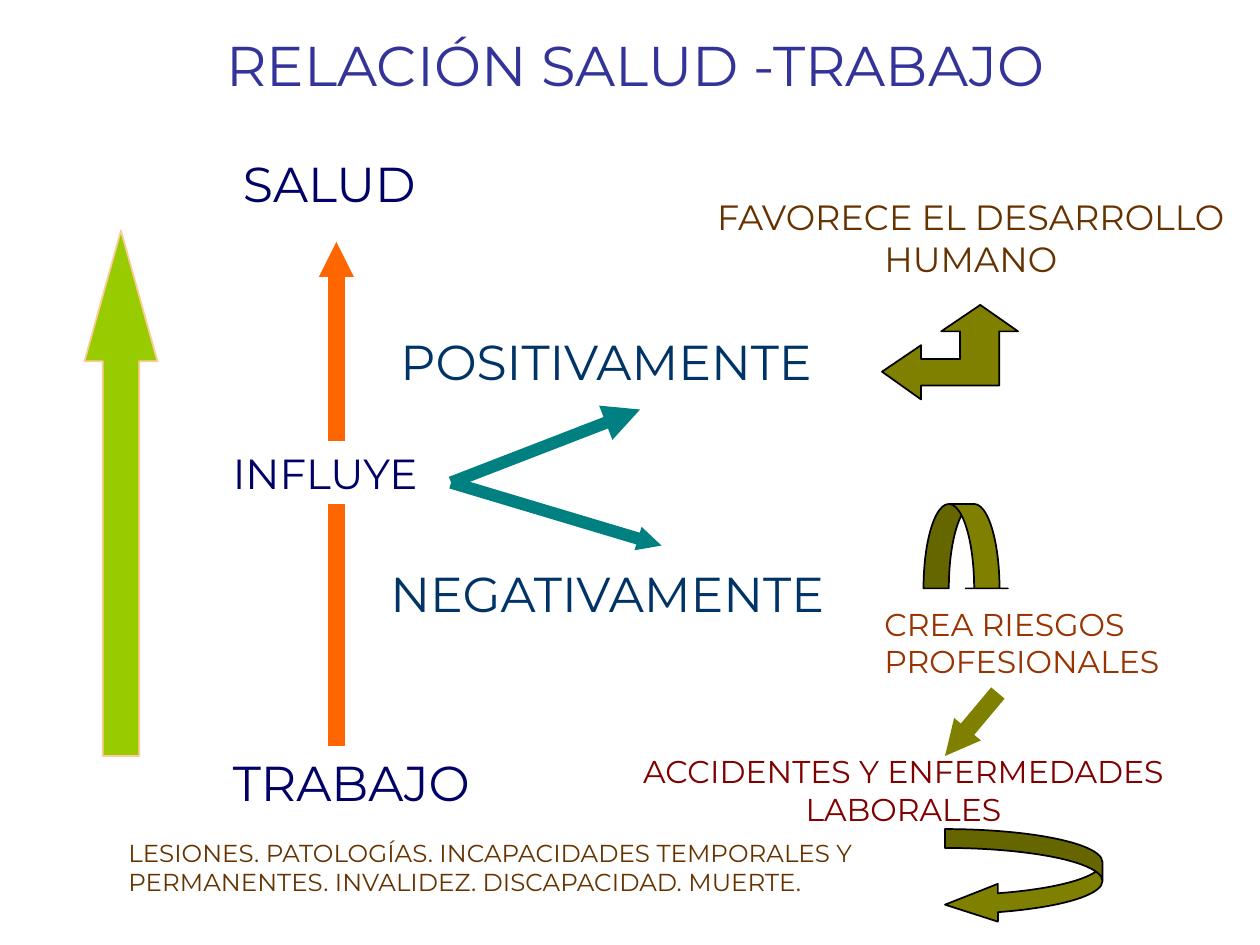
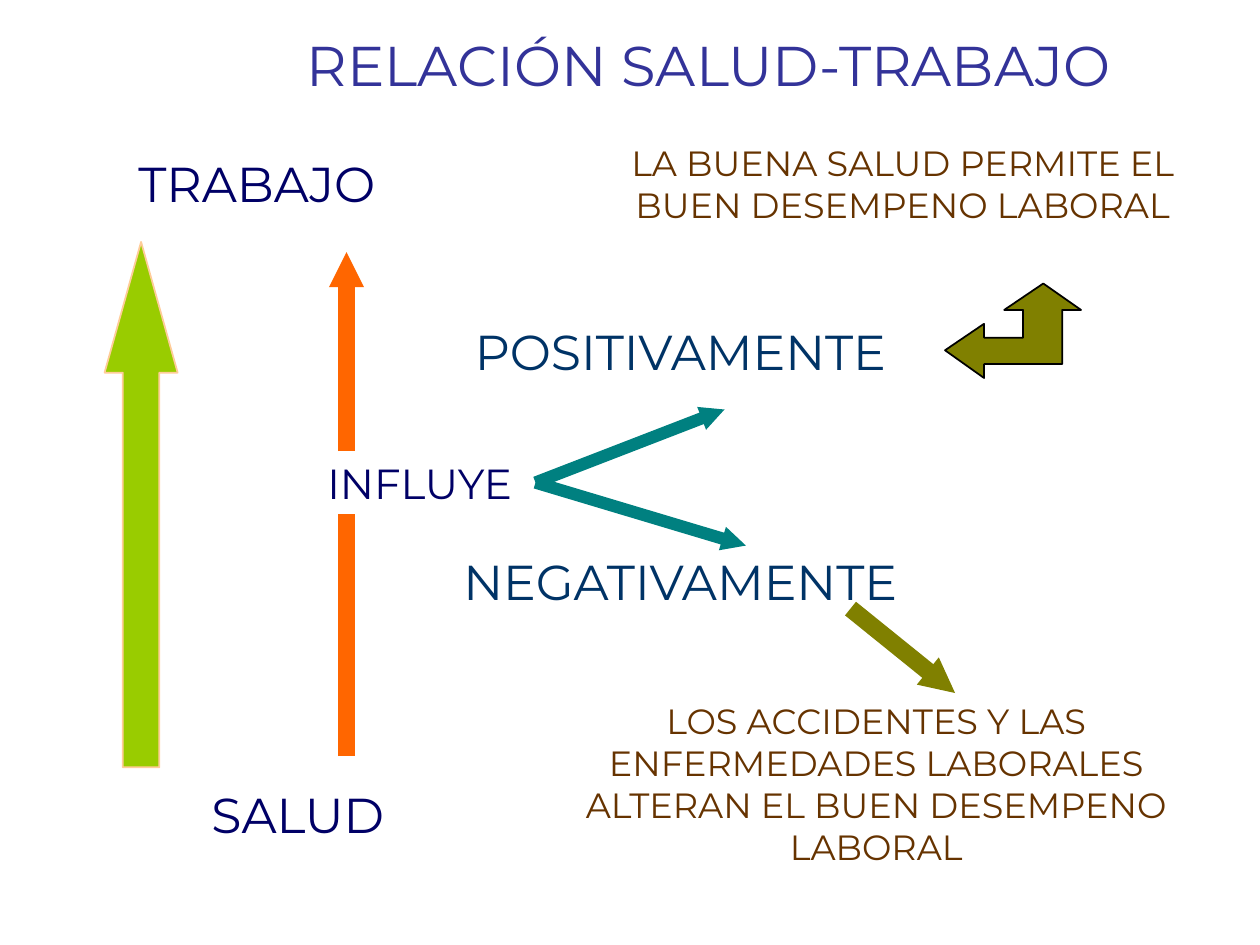
from dataclasses import dataclass

from pptx import Presentation
from pptx import util as u
from pptx.dml.color import RGBColor
from pptx.enum import shapes, text
from pptx.oxml.ns import qn
from lxml import etree


@dataclass(frozen=True)
class Theme:
    font: str = "Montserrat"
    # Colours
    title: str = "333399"
    pole: str = "000066"
    effect: str = "003366"
    note: str = "663300"
    risk: str = "993300"
    harm: str = "800000"
    axis: str = "FF6600"
    fork: str = "008080"
    olive: str = "808000"
    green: str = "99CC00"
    peach: str = "FFCC99"
    black: str = "000000"
    # Type sizes
    title_size: int = 32
    label_size: int = 28
    link_size: int = 24
    note_size: int = 20
    risk_size: int = 18
    detail_size: int = 14
    # Line widths
    thick: int = 10
    medium: int = 7
    thin: int = 1


T = Theme()
LEFT, CENTER = text.PP_ALIGN.LEFT, text.PP_ALIGN.CENTER
MST = shapes.MSO_SHAPE


def rgb(value):
    return RGBColor.from_string(value)


def set_all(obj, values):
    for name, value in values.items():
        setattr(obj, name, value)


# Basic parts
def add_text(s, box, words, size, color, align=LEFT, anchor=text.MSO_ANCHOR.TOP):
    tf = s.shapes.add_textbox(*map(u.Inches, box)).text_frame
    set_all(tf, {"word_wrap": True, "vertical_anchor": anchor})
    p = tf.paragraphs[0]
    p.alignment = align
    r = p.add_run()
    r.text = words
    set_all(r.font, {"name": T.font, "size": u.Pt(size)})
    r.font.color.rgb = rgb(color)


def paint(sp, fill, line):
    sp.shadow.inherit = False
    sp.fill.solid()
    sp.fill.fore_color.rgb = rgb(fill)
    sp.line.color.rgb = rgb(line)
    sp.line.width = u.Pt(T.thin)


def add_preset(s, kind, box, adjustments, fill, line):
    sp = s.shapes.add_shape(kind, *map(u.Inches, box))
    for i, value in enumerate(adjustments):
        sp.adjustments[i] = value
    paint(sp, fill, line)


def add_line(s, x, y, dx, dy, color, width, head=None):
    ends = map(u.Inches, (x, y, x + dx, y + dy))
    cx = s.shapes.add_connector(shapes.MSO_CONNECTOR.STRAIGHT, *ends)
    cx.line.color.rgb = rgb(color)
    cx.line.width = u.Pt(width)
    if head:
        etree.SubElement(cx.line._get_or_add_ln(), qn("a:tailEnd"),
                         type="triangle", w=head, len=head)
    etree.SubElement(cx._element.spPr, qn("a:effectLst"))


# Regions shared by both slides
def add_title(s, x, words):
    add_text(s, (x, 0.17, 8.25, 0.67), words, T.title_size, T.title, CENTER,
             text.MSO_ANCHOR.MIDDLE)


def add_axis(s, x, y):
    """Orange axis, with a gap for the linking word."""
    add_line(s, x, y + 4, 0, -1.92, T.axis, T.thick)
    add_line(s, x, y + 1.58, 0, -1.58, T.axis, T.thick, "sm")


def add_green_arrow(s, x, y):
    add_preset(s, MST.UP_ARROW, (x, y, 0.58, 4.17), (0.5, 1.79),
               T.green, T.peach)


def add_fork(s, x, y, upper_head="sm"):
    add_line(s, x, y, 1.5, -0.58, T.fork, T.medium, upper_head)
    add_line(s, x, y, 1.67, 0.5, T.fork, T.medium, "sm")


def add_elbow_arrow(s, x, y):
    outline = [(0, 0.53), (0.31, 0.32), (0.31, 0.43), (0.62, 0.43),
               (0.62, 0.21), (0.47, 0.21), (0.78, 0), (1.08, 0.21),
               (0.93, 0.21), (0.93, 0.64), (0.31, 0.64), (0.31, 0.75)]
    points = [(u.Inches(x + dx), u.Inches(y + dy)) for dx, dy in outline]
    fb = s.shapes.build_freeform(*points[0])
    fb.add_line_segments(points[1:], close=True)
    paint(fb.convert_to_shape(), T.olive, T.black)


def add_labels(s, salud, trabajo, influye, positive, negative):
    """The five words of the diagram, each at its own corner."""
    for words, (x, y), (w, h), size, color in (
            ("SALUD", salud, (1.92, 0.57), T.label_size, T.pole),
            ("TRABAJO", trabajo, (2.42, 0.57), T.label_size, T.pole),
            ("INFLUYE", influye, (2, 0.5), T.link_size, T.pole),
            ("POSITIVAMENTE", positive, (3.83, 0.57), T.label_size, T.effect),
            ("NEGATIVAMENTE", negative, (4.17, 0.57), T.label_size, T.effect)):
        add_text(s, (x, y, w, h), words, size, color)


# Slides
def work_affects_health(s):
    add_title(s, 0.92, "RELACIÓN SALUD -TRABAJO")
    add_labels(s, salud=(1.83, 1.17), trabajo=(1.75, 5.92),
               influye=(1.75, 3.5), positive=(3.08, 2.58), negative=(3, 4.42))
    add_axis(s, 2.67, 1.92)
    add_fork(s, 3.58, 3.83, "med")
    add_green_arrow(s, 0.67, 1.83)

    # Good outcome
    add_text(s, (5.58, 1.5, 4.25, 0.77), "FAVORECE EL DESARROLLO HUMANO",
             T.note_size, T.note, CENTER)
    add_elbow_arrow(s, 7, 2.42)

    # Chain of harm
    add_preset(s, MST.CURVED_DOWN_ARROW, (7.33, 4, 0.67, 0.67),
               (0.3, 0.5, 0), T.olive, T.black)
    add_text(s, (6.92, 4.75, 2.75, 0.7), "CREA RIESGOS PROFESIONALES",
             T.risk_size, T.risk)
    add_line(s, 7.92, 5.5, -0.42, 0.5, T.olive, T.thick, "sm")
    add_text(s, (4.42, 5.92, 5.5, 0.7), "ACCIDENTES Y ENFERMEDADES LABORALES",
             T.risk_size, T.harm, CENTER)
    add_preset(s, MST.CURVED_LEFT_ARROW, (7.5, 6.58, 1.25, 0.75),
               (0.2, 0.4, 0.56), T.olive, T.black)
    add_text(s, (0.92, 6.6, 7.08, 0.57),
             "LESIONES. PATOLOGÍAS. INCAPACIDADES TEMPORALES Y PERMANENTES. "
             "INVALIDEZ. DISCAPACIDAD. MUERTE.", T.detail_size, T.note)


def health_affects_work(s):
    add_title(s, 1.5, "RELACIÓN SALUD-TRABAJO")
    add_labels(s, salud=(1.58, 6.18), trabajo=(1, 1.17),
               influye=(2.5, 3.58), positive=(3.67, 2.5), negative=(3.58, 4.33))
    add_axis(s, 2.75, 2)
    add_fork(s, 4.25, 3.83)
    add_green_arrow(s, 0.83, 1.92)

    # Good outcome
    add_text(s, (4.5, 1.07, 5.33, 0.77),
             "LA BUENA SALUD PERMITE EL BUEN DESEMPENO LABORAL",
             T.note_size, T.note, CENTER)
    add_elbow_arrow(s, 7.5, 2.25)

    # Bad outcome
    add_line(s, 6.75, 4.83, 0.83, 0.67, T.olive, T.thick, "sm")
    add_text(s, (4.08, 5.5, 5.75, 1.1),
             "LOS ACCIDENTES Y LAS ENFERMEDADES LABORALES ALTERAN EL BUEN "
             "DESEMPENO LABORAL", T.note_size, T.note, CENTER)


def main():
    prs = Presentation()
    set_all(prs, {"slide_width": u.Inches(10), "slide_height": u.Inches(7.5)})
    for build in (work_affects_health, health_affects_work):
        build(prs.slides.add_slide(prs.slide_layouts[6]))
    prs.save("out.pptx")


if __name__ == "__main__":
    main()
